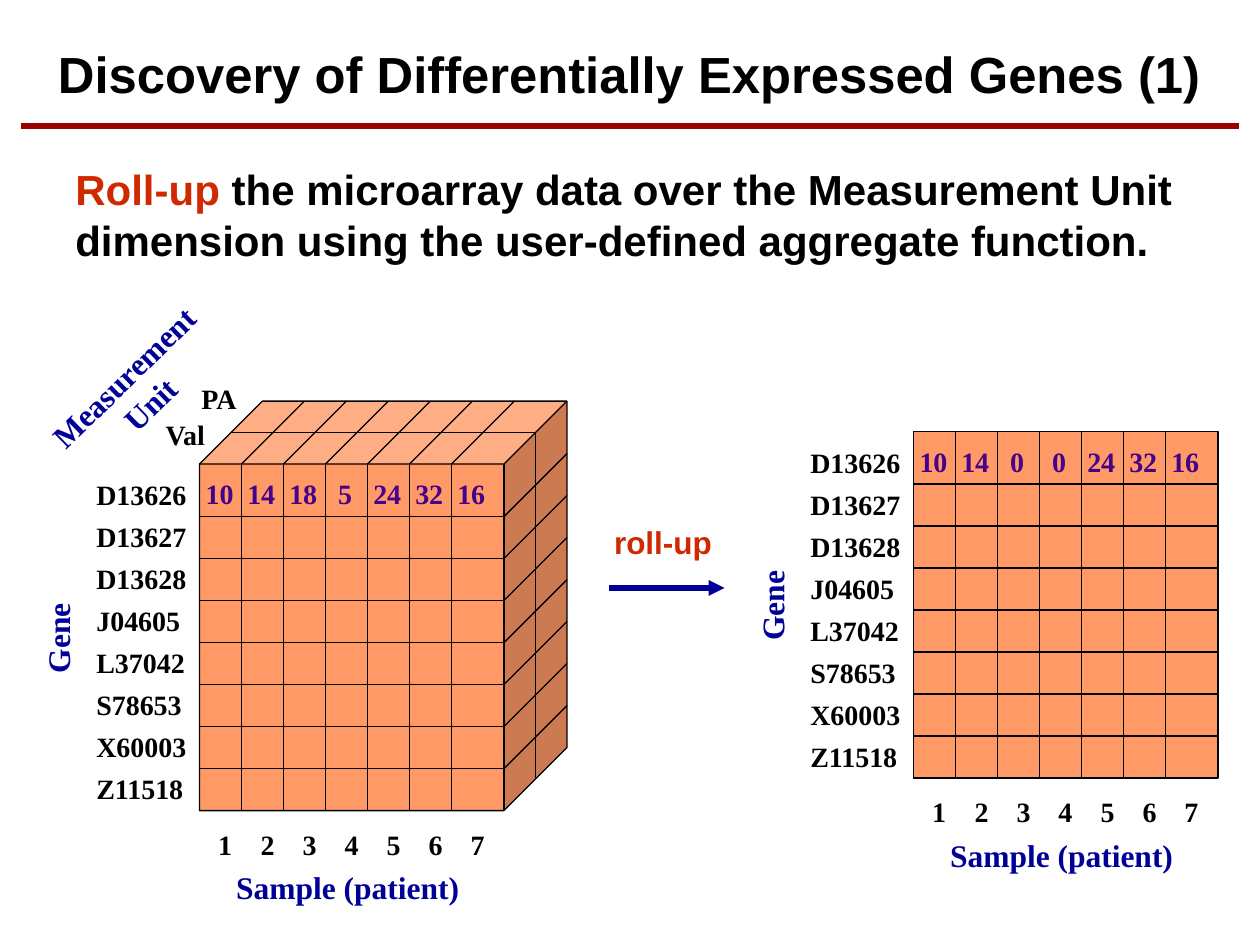
"""Build the slide that rolls a microarray cube up into a gene-by-sample grid."""
from dataclasses import dataclass

from lxml.etree import SubElement
from pptx import Presentation
from pptx.dml.color import RGBColor
from pptx.enum.shapes import MSO_CONNECTOR as CONN, MSO_SHAPE as SHAPE
from pptx.enum.text import MSO_ANCHOR as ANCHOR, MSO_AUTO_SIZE as AUTO, PP_ALIGN as ALIGN
from pptx.oxml.ns import qn
from pptx.util import Emu, Pt


@dataclass(frozen=True)
class Theme:
    """Colours, fonts and type sizes."""
    black: str = "000000"
    rule: str = "9E0000"
    accent: str = "D02800"
    axis: str = "000099"
    value: str = "45008A"
    cell: str = "FF9966"
    sans: str = "Arial"
    serif: str = "Times New Roman"
    title: int = 29
    body: int = 24
    label: int = 18
    small: int = 16
    thin: float = 0.75
    thick: float = 3


@dataclass(frozen=True)
class Style:
    """Look of a text box."""
    size: int
    color: str
    face: str = Theme.serif


@dataclass(frozen=True)
class Panel:
    """Front face of a data block and the values in its first row."""
    x: int
    y: int
    values: tuple[str, ...]


T = Theme()
AXIS = Style(T.label, T.axis)
SMALL = Style(T.small, T.black)
VALUE = Style(T.small, T.value)
GENES = ("D13626", "D13627", "D13628", "J04605", "L37042", "S78653", "X60003", "Z11518")
SAMPLES = tuple("1234567")
CUBE = Panel(190, 442, ("10", "14", "18", "5", "24", "32", "16"))
FLAT = Panel(870, 411, ("10", "14", "0", "0", "24", "32", "16"))
STEP, FIRST_ROW, FACE_W, FACE_H, DEPTH = 40, 50, 290, 330, 60
COLS = [STEP * i for i in range(1, len(SAMPLES))]
ROWS = [FIRST_ROW + STEP * i for i in range(len(GENES) - 1)]


def px(n: int) -> Emu:
    """Turn px, 120 to the inch, into EMU."""
    return Emu(n * 7620)


def rgb(color: str) -> RGBColor:
    """Turn a hex string into a colour."""
    return RGBColor.from_string(color)


def set_font(font, style: Style) -> None:
    """Apply a style in bold."""
    font.name, font.size, font.bold = style.face, Pt(style.size), True
    font.color.rgb = rgb(style.color)


def add_text(s, box: tuple[int, int, int, int], lines: tuple[str, ...], style: Style,
             rotation: float = 0, align=ALIGN.LEFT, spacing: int = 0):
    """Add a text box with one paragraph for each line."""
    sp = s.shapes.add_textbox(*map(px, box))
    sp.rotation = rotation
    tf = sp.text_frame
    tf.word_wrap, tf.auto_size = True, AUTO.SHAPE_TO_FIT_TEXT
    tf.text = "\n".join(lines)
    for p in tf.paragraphs:
        p.alignment = align
        set_font(p.font, style)
        if spacing:
            p.line_spacing = Pt(spacing)
    return tf


def add_tabbed_row(s, x: int, y: int, h: int, items: tuple[str, ...], style: Style,
                   half: int, spacing: int = 0) -> None:
    """Add a row of items centred on the column pitch; half is half the first item's width."""
    tf = add_text(s, (x, y, 310, h), ("\t".join(items),), style, spacing=spacing)
    pPr = tf.paragraphs[0]._p.get_or_add_pPr()
    tabs = pPr.makeelement(qn("a:tabLst"), {})
    for col in COLS:
        SubElement(tabs, qn("a:tab"), pos=str(px(half + col)), algn="ctr")
    pPr.insert_element_before(tabs, "a:defRPr", "a:extLst")


def add_line(s, x1: int, y1: int, x2: int, y2: int, color: str = T.black,
             width: float = T.thin, arrow: bool = False) -> None:
    """Add a straight line, with an arrowhead at its end on request."""
    cn = s.shapes.add_connector(CONN.STRAIGHT, *map(px, (x1, y1, x2, y2)))
    cn.line.color.rgb, cn.line.width = rgb(color), Pt(width)
    if arrow:
        SubElement(cn.line._get_or_add_ln(), qn("a:tailEnd"), type="triangle")
    SubElement(cn._element.spPr, qn("a:effectLst"))


def add_block(s, kind, x: int, y: int, w: int, h: int):
    """Add a filled and outlined block."""
    sp = s.shapes.add_shape(kind, *map(px, (x, y, w, h)))
    sp.shadow.inherit = False
    sp.fill.solid()
    sp.fill.fore_color.rgb = rgb(T.cell)
    sp.line.color.rgb, sp.line.width = rgb(T.black), Pt(T.thin)
    return sp


def add_panel(s, panel: Panel) -> None:
    """Draw the grid lines, values and axis labels of a face."""
    x, y = panel.x, panel.y
    for col in COLS:
        add_line(s, x + col, y, x + col, y + FACE_H)
    for row in ROWS:
        add_line(s, x, y + row, x + FACE_W, y + row)
    add_tabbed_row(s, x - 6, y, 89, panel.values, VALUE, 13, spacing=23)
    add_tabbed_row(s, x + 6, y + 340, 44, SAMPLES, SMALL, 7)
    add_text(s, (x - 110, y - 1, 120, 332), GENES, SMALL, spacing=24)
    add_text(s, (x + 23, y + 379, 260, 48), ("Sample (patient)",), AXIS)
    add_text(s, (x - 185, y + 137, 100, 48), ("Gene",), AXIS, rotation=270)


def add_cube(s, panel: Panel) -> None:
    """Draw the cube with the lines on its top and right faces."""
    x, y, right, mid = panel.x, panel.y, panel.x + FACE_W, DEPTH // 2
    sp = add_block(s, SHAPE.CUBE, x, y - DEPTH, FACE_W + DEPTH, FACE_H + DEPTH)
    sp.adjustments[0] = DEPTH / (FACE_W + DEPTH)
    for col in COLS:
        add_line(s, x + col, y, x + col + DEPTH, y - DEPTH)
    for row in ROWS:
        add_line(s, right, y + row, right + DEPTH, y + row - DEPTH)
    add_line(s, x + mid, y - mid, right + mid, y - mid)
    add_line(s, right + mid, y - mid, right + mid, y - mid + FACE_H)
    add_panel(s, panel)


def add_title(s, text: str) -> None:
    """Place and format the title."""
    sp = s.shapes.title
    sp.left, sp.top, sp.width, sp.height = map(px, (20, 30, 1160, 80))
    tf = sp.text_frame
    tf.text, tf.auto_size, tf.vertical_anchor = text, AUTO.NONE, ANCHOR.MIDDLE
    tf.margin_left = tf.margin_right = tf.margin_top = tf.margin_bottom = 0
    p = tf.paragraphs[0]
    p.alignment = ALIGN.CENTER
    set_font(p.font, Style(T.title, T.black, T.sans))


def main() -> None:
    """Build and save the slide."""
    prs = Presentation()
    prs.slide_width, prs.slide_height = px(1200), px(900)
    s = prs.slides.add_slide(prs.slide_layouts[5])
    add_title(s, "Discovery of Differentially Expressed Genes (1)")
    add_line(s, 20, 120, 1180, 120, T.rule, T.thick)

    tf = add_text(s, (60, 150, 1070, 108), ("Roll-up ",), Style(T.body, T.black, T.sans))
    p = tf.paragraphs[0]
    p.runs[0].font.color.rgb = rgb(T.accent)
    p.add_run().text = ("the microarray data over the Measurement Unit dimension "
                        "using the user-defined aggregate function.")

    add_cube(s, CUBE)
    add_text(s, (20, 330, 220, 84), ("Measurement", "Unit"), AXIS, rotation=315.7, align=ALIGN.CENTER)
    add_text(s, (180, 357, 70, 44), ("PA",), SMALL)
    add_text(s, (146, 392, 74, 44), ("Val",), SMALL)

    add_text(s, (573, 492, 130, 48), ("roll-up",), Style(T.label, T.accent, T.sans))
    add_line(s, 580, 560, 690, 560, T.axis, T.thick, arrow=True)

    add_block(s, SHAPE.RECTANGLE, FLAT.x, FLAT.y, FACE_W, FACE_H)
    add_panel(s, FLAT)
    prs.save("out.pptx")


if __name__ == "__main__":
    main()
